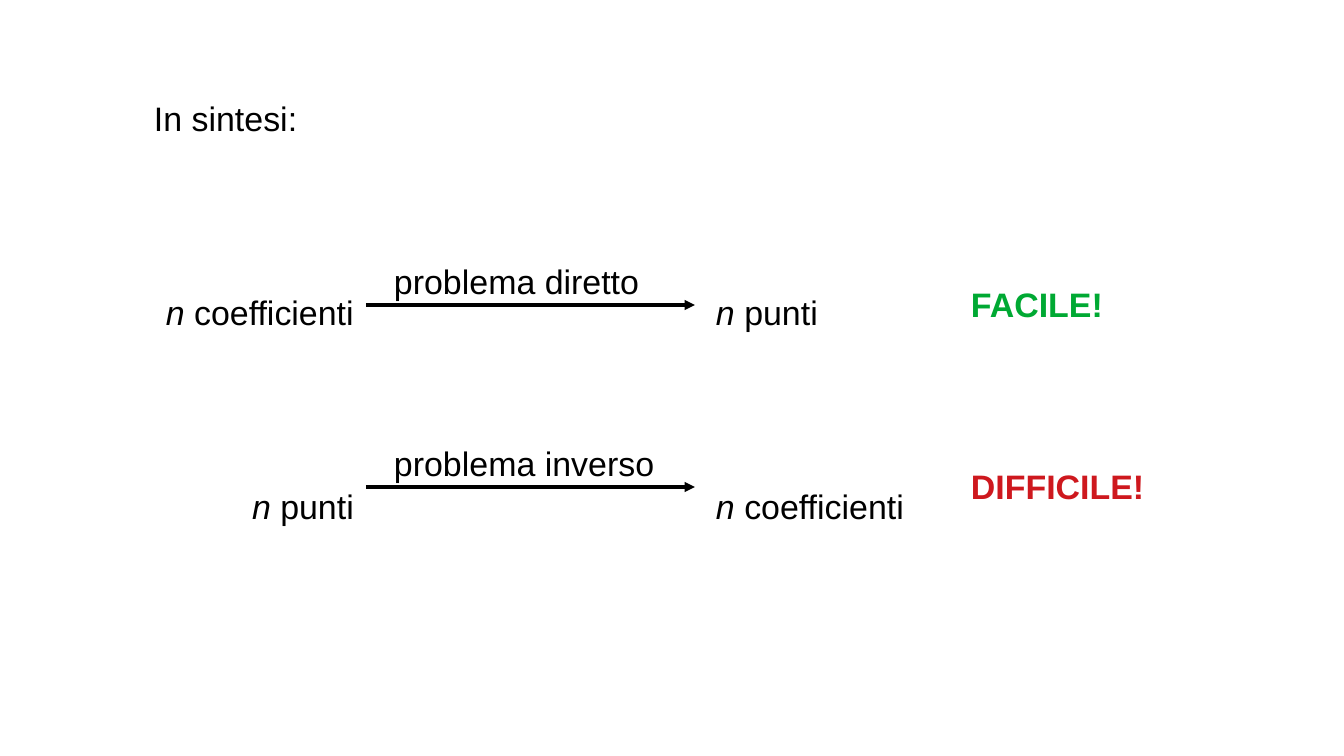
from dataclasses import dataclass

from lxml import etree
from pptx import Presentation
from pptx.dml.color import RGBColor as Rgb
from pptx.enum.shapes import MSO_CONNECTOR as Connector
from pptx.enum.text import MSO_ANCHOR as Anchor, MSO_AUTO_SIZE as AutoSize, PP_ALIGN as Align
from pptx.oxml.ns import qn
from pptx.util import Emu, Pt

PX_PER_INCH = 122


@dataclass(frozen=True)
class Theme:
    font: str = "Arial"
    size: int = 20
    ink: str = "000000"
    easy: str = "00A933"
    hard: str = "CE181E"


THEME = Theme()
LINE_HEIGHT = 39


def px(length):
    return Emu(round(length * 914400 / PX_PER_INCH))


def add_span(para, text, color=THEME.ink, bold=False, italic=False):
    span = para.add_run()
    span.text = text
    font = span.font
    font.name, font.size = THEME.font, Pt(THEME.size)
    font.bold, font.italic = bold, italic
    font.color.rgb = Rgb.from_string(color)


def place_text(box, left, top, width, align=Align.LEFT):
    """Move a text shape, clear its margins and return its paragraph."""
    box.left, box.top = px(left), px(top)
    box.width, box.height = px(width), px(LINE_HEIGHT)
    frame = box.text_frame
    frame.margin_left = frame.margin_right = 0
    frame.margin_top = frame.margin_bottom = 0
    frame.word_wrap = True
    frame.auto_size = AutoSize.NONE
    frame.vertical_anchor = Anchor.TOP
    para = frame.paragraphs[0]
    para.alignment = align
    return para


def add_label(page, text, left, top, width, **style):
    box = page.shapes.add_textbox(0, 0, 0, 0)
    add_span(place_text(box, left, top, width), text, **style)


def add_term(page, noun, left, top, width, align=Align.LEFT):
    """Write an italic n followed by the noun it counts."""
    box = page.shapes.add_textbox(0, 0, 0, 0)
    para = place_text(box, left, top, width, align)
    add_span(para, "n", italic=True)
    add_span(para, f" {noun}")


def add_arrow(page, start, end, y):
    arrow = page.shapes.add_connector(Connector.STRAIGHT, px(start), px(y), px(end), px(y))
    arrow.line.color.rgb = Rgb.from_string(THEME.ink)
    arrow.line.width = Pt(0)
    etree.SubElement(arrow.line._get_or_add_ln(), qn("a:tailEnd"), type="triangle")
    etree.SubElement(arrow._element.spPr, qn("a:effectLst"))


def add_problem(page, arrow_y, term_top, given, kind, found, verdict, color):
    add_term(page, given, 154, term_top, 200, Align.RIGHT)
    add_label(page, f"problema {kind}", 394, arrow_y - 44, 299)
    add_arrow(page, 366, 695, arrow_y)
    add_term(page, found, 716, term_top, 211)
    add_label(page, verdict, 971, arrow_y - 21, 212, color=color, bold=True)


def main():
    deck = Presentation()
    deck.slide_width, deck.slide_height = px(1344), px(756)
    page = deck.slides.add_slide(deck.slide_layouts[5])

    # Heading
    add_span(place_text(page.shapes.title, 154, 98, 200), "In sintesi:")

    # Direct and inverse problems
    add_problem(page, 305, 292, "coefficienti", "diretto", "punti", "FACILE!", THEME.easy)
    add_problem(page, 487, 486, "punti", "inverso", "coefficienti", "DIFFICILE!", THEME.hard)

    deck.save("out.pptx")


if __name__ == "__main__":
    main()
